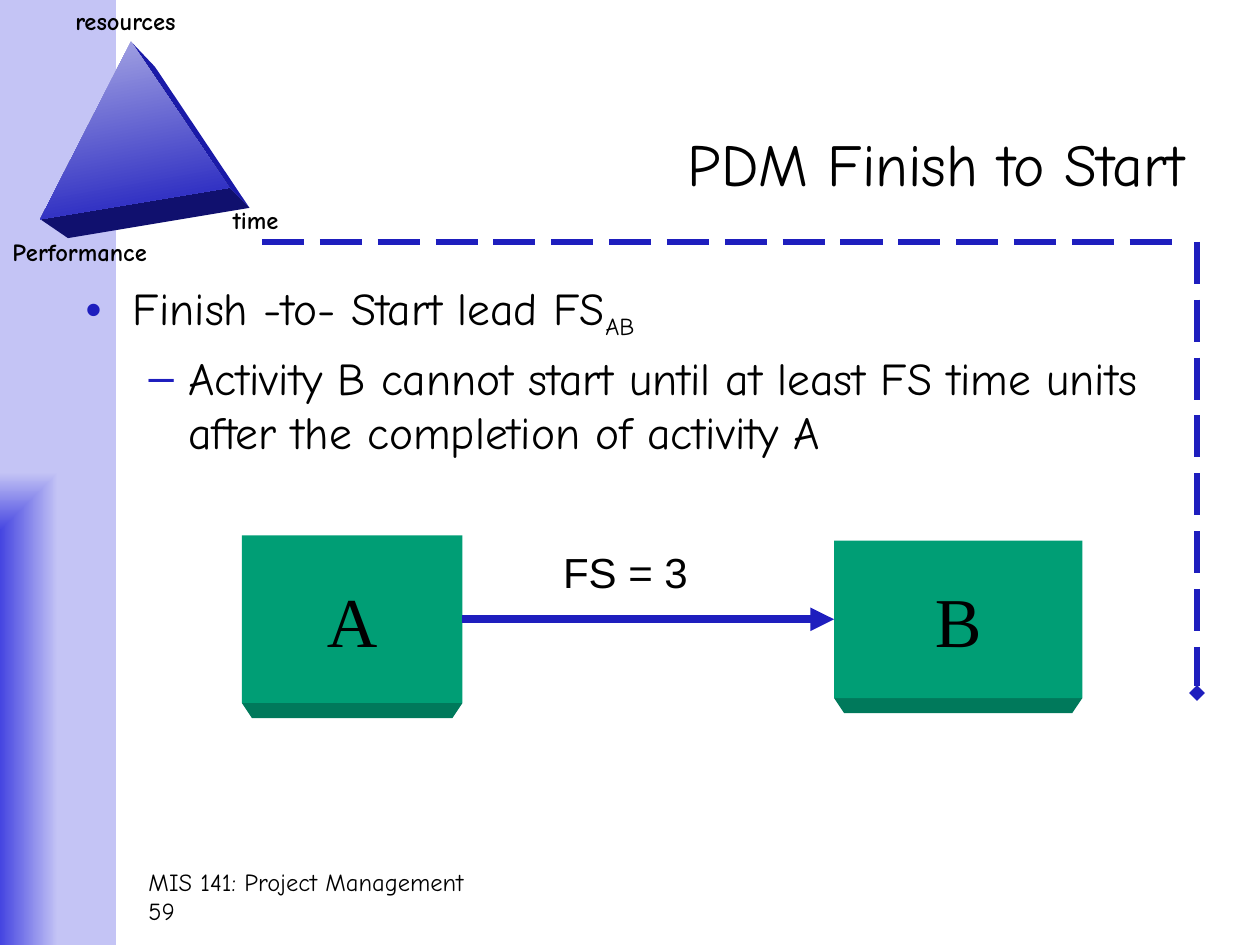
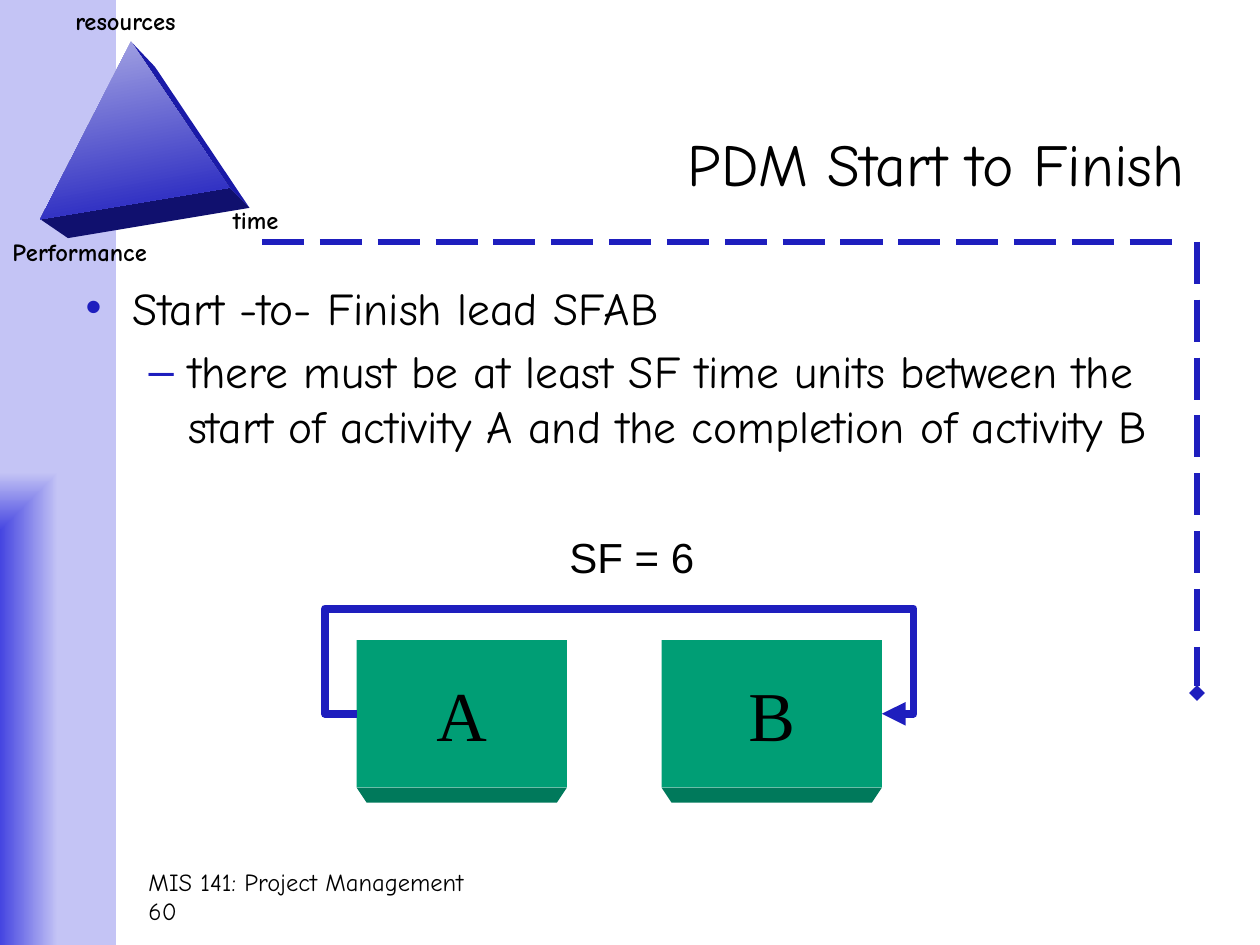
from dataclasses import dataclass

from lxml import etree
from pptx import Presentation
from pptx.dml.color import RGBColor
from pptx.enum.dml import MSO_LINE
from pptx.enum.shapes import MSO_CONNECTOR, MSO_SHAPE
from pptx.enum.text import MSO_ANCHOR, MSO_AUTO_SIZE, PP_ALIGN
from pptx.oxml.ns import qn
from pptx.util import Inches, Pt

RECTANGLE, STRAIGHT = MSO_SHAPE.RECTANGLE, MSO_CONNECTOR.STRAIGHT
LONG_DASH, MIDDLE = MSO_LINE.LONG_DASH, MSO_ANCHOR.MIDDLE
LEFT, CENTER, RIGHT = PP_ALIGN.LEFT, PP_ALIGN.CENTER, PP_ALIGN.RIGHT
LEFT_SIDE, RIGHT_SIDE = 1, 3

# Content
COURSE = "MIS 141: Project Management"
SLIDES = [
    {
        "title": "PDM Finish to Start", "number": "59",
        "lead": "Finish -to- Start lead FS", "subscript": "AB",
        "rule": "Activity B cannot start until at least FS time units "
                "after the completion of activity A",
        "blocks": {"A": (1.92, 4.25, 1.75, 1.33), "B": (6.62, 4.29, 1.97, 1.25)},
        "lag": ("FS = 3", (4.37, 4.29, 1.19, 0.5)),
    },
    {
        "title": "PDM Start to Finish", "number": "60",
        "lead": "Start -to- Finish lead SFAB", "subscript": "",
        "rule": "there must be at least SF time units between the "
                "start of activity A and the completion of activity B",
        "blocks": {"A": (2.83, 5.08, 1.67, 1.17), "B": (5.25, 5.08, 1.75, 1.17)},
        "lag": ("SF = 6", (4.42, 4.17, 1.19, 0.5)),
        "loop": 0.25,  # clearance of the arrow that runs around both blocks
    },
]
CORNER_LABELS = {
    "resources": (0.5, 0, 1.1, 0.33),
    "Performance": (0, 1.83, 1.38, 0.33),
    "time": (1.75, 1.58, 0.61, 0.33),
}
TITLE_AREA = (2.08, 0.67, 7.42, 1.25)
BODY_AREA = (0.58, 2.17, 8.92, 4.5)
FOOTER_AREA = (1.08, 6.83, 6.42, 0.5)
BAND_AREA = (0, 0, 0.92, 7.5)
BLOCK_DEPTH, BLOCK_BEVEL = 0.12, 0.08

# Corners of the pyramid
APEX, APEX_BACK = (1.04, 0.33), (1.23, 0.53)
BASE_LEFT, BASE_LEFT_BACK = (0.32, 1.74), (0.54, 1.89)
BASE_RIGHT, BASE_RIGHT_BACK = (1.82, 1.49), (1.98, 1.65)


def rgb(code):
    return RGBColor.from_string(code)


@dataclass(frozen=True)
class Theme:
    font: str = "Comic Neue"
    block_font: str = "Times New Roman"
    lag_font: str = "Arial"
    title: int = 34
    body: int = 26
    subscript: int = 24
    lag: int = 24
    block: int = 40
    small: int = 14
    ink: RGBColor = rgb("000000")
    accent: RGBColor = rgb("1E1EBE")
    band: tuple = (rgb("4545E1"), rgb("C4C4F5"))
    pyramid: tuple = (rgb("A8A8E4"), rgb("1E1EBE"))
    pyramid_side: RGBColor = rgb("1A1AA8")
    pyramid_base: RGBColor = rgb("10106E")
    block_face: RGBColor = rgb("009E75")
    block_edge: RGBColor = rgb("00795B")


THEME = Theme()


def inches(values):
    return [Inches(value) for value in values]


def style(paragraph, size, font=THEME.font, align=LEFT, bold=False):
    paragraph.alignment = align
    paragraph.font.size, paragraph.font.name = Pt(size), font
    paragraph.font.bold, paragraph.font.color.rgb = bold, THEME.ink


def add_text(slide, area, lines, size, font=THEME.font, bold=False, wrap=False):
    frame = slide.shapes.add_textbox(*inches(area)).text_frame
    frame.word_wrap = wrap
    frame.text = "\n".join(lines)
    for paragraph in frame.paragraphs:
        style(paragraph, size, font, bold=bold)


def fill_gradient(shape, colors):
    shape.fill.gradient()
    for stop, color in zip(shape.fill.gradient_stops, colors):
        stop.color.rgb = color


def add_outline(slide, points, color=None, close=True):
    builder = slide.shapes.build_freeform(*inches(points[0]))
    builder.add_line_segments([inches(point) for point in points[1:]], close=close)
    outline = builder.convert_to_shape()
    outline.shadow.inherit = False
    outline.line.fill.background()
    if color is None:
        outline.fill.background()
    else:
        outline.fill.solid()
        outline.fill.fore_color.rgb = color
    return outline


def style_line(shape, width, tail=None, dash=None):
    shape.line.color.rgb = THEME.accent
    shape.line.width = Pt(width)
    if dash:
        shape.line.dash_style = dash
    if tail:
        etree.SubElement(shape.line._get_or_add_ln(), qn("a:tailEnd"), type=tail)


def add_line(slide, start, end, width, tail=None, dash=None):
    line = slide.shapes.add_connector(STRAIGHT, *inches(start + end))
    style_line(line, width, tail, dash)
    etree.SubElement(line.element.spPr, qn("a:effectLst"))
    return line


def add_backdrop(slide):
    # Side band, shaded from its lower left corner
    band = slide.shapes.add_shape(RECTANGLE, *inches(BAND_AREA))
    band.shadow.inherit = False
    band.line.fill.background()
    fill_gradient(band, THEME.band)
    linear = band.element.spPr.find(".//" + qn("a:lin"))
    corner = etree.Element(qn("a:path"), path="rect")
    etree.SubElement(corner, qn("a:fillToRect"), t="100000", r="100000")
    linear.getparent().replace(linear, corner)

    # Pyramid with its three labels
    add_outline(slide, [APEX, APEX_BACK, BASE_RIGHT_BACK, BASE_RIGHT], THEME.pyramid_side)
    add_outline(slide, [BASE_LEFT, BASE_RIGHT, BASE_RIGHT_BACK, BASE_LEFT_BACK],
                THEME.pyramid_base)
    front = add_outline(slide, [APEX, BASE_RIGHT, BASE_LEFT])
    fill_gradient(front, THEME.pyramid)
    front.fill.gradient_angle = 280
    for label, area in CORNER_LABELS.items():
        add_text(slide, area, [label], THEME.small, bold=True)

    # Dashed frame
    add_line(slide, (2.08, 1.92), (9.42, 1.92), 3, dash=LONG_DASH)
    add_line(slide, (9.5, 1.92), (9.5, 5.5), 3, "diamond", LONG_DASH)


def move_to_layout(slide, layout):
    for shape in list(slide.shapes):
        if not shape.is_placeholder:
            layout.shapes.element.append(shape.element)


def place(placeholder, area):
    (placeholder.left, placeholder.top,
     placeholder.width, placeholder.height) = inches(area)
    placeholder.text_frame.auto_size = MSO_AUTO_SIZE.NONE
    return placeholder.text_frame


def add_wording(slide, content):
    title = place(slide.shapes.title, TITLE_AREA)
    title.text = content["title"]
    title.vertical_anchor = MIDDLE
    style(title.paragraphs[0], THEME.title, align=RIGHT)

    body = place(slide.placeholders[1], BODY_AREA)
    body.text = content["lead"] + "\n" + content["rule"]
    lead, rule = body.paragraphs
    rule.level = 1
    for paragraph in (lead, rule):
        style(paragraph, THEME.body)
        bullet_color = etree.Element(qn("a:buClr"))
        etree.SubElement(bullet_color, qn("a:srgbClr"), val=str(THEME.accent))
        paragraph._p.get_or_add_pPr().insert(0, bullet_color)
    if content["subscript"]:
        subscript = lead.add_run()
        subscript.text = content["subscript"]
        subscript.font.size = Pt(THEME.subscript)
        subscript._r.get_or_add_rPr().set("baseline", "-25000")

    add_text(slide, FOOTER_AREA, [COURSE, content["number"]], THEME.small, wrap=True)


def add_block(slide, letter, area):
    left, top, width, height = area
    right, bottom = left + width, top + height
    add_outline(slide, [(left, bottom), (right, bottom),
                        (right - BLOCK_BEVEL, bottom + BLOCK_DEPTH),
                        (left + BLOCK_BEVEL, bottom + BLOCK_DEPTH)], THEME.block_edge)
    face = slide.shapes.add_shape(RECTANGLE, *inches(area))
    face.shadow.inherit = False
    face.fill.solid()
    face.fill.fore_color.rgb = THEME.block_face
    face.line.fill.background()
    face.text_frame.text = letter
    face.text_frame.word_wrap = False
    face.text_frame.vertical_anchor = MIDDLE
    style(face.text_frame.paragraphs[0], THEME.block, THEME.block_font, CENTER)
    return face


def add_dependency(slide, content):
    blocks = content["blocks"]
    first, second = [add_block(slide, *block) for block in blocks.items()]
    if "loop" in content:
        left, top, _, height = blocks["A"]
        right = blocks["B"][0] + blocks["B"][2]
        gap, middle = content["loop"], top + height / 2
        route = [(left, middle), (left - gap, middle), (left - gap, top - gap),
                 (right + gap, top - gap), (right + gap, middle), (right, middle)]
        style_line(add_outline(slide, route, close=False), 4.5, "triangle")
    else:
        arrow = add_line(slide, (3.67, 4.92), (6.62, 4.92), 4.5, "triangle")
        arrow.begin_connect(first, RIGHT_SIDE)
        arrow.end_connect(second, LEFT_SIDE)
    lag, area = content["lag"]
    add_text(slide, area, [lag], THEME.lag, THEME.lag_font)


def main():
    deck = Presentation()
    deck.slide_width, deck.slide_height = Inches(10), Inches(7.5)
    layout = deck.slide_layouts[1]
    for index, content in enumerate(SLIDES):
        slide = deck.slides.add_slide(layout)
        if index == 0:
            add_backdrop(slide)
            move_to_layout(slide, layout)
        add_wording(slide, content)
        add_dependency(slide, content)
    deck.save("out.pptx")


if __name__ == "__main__":
    main()
